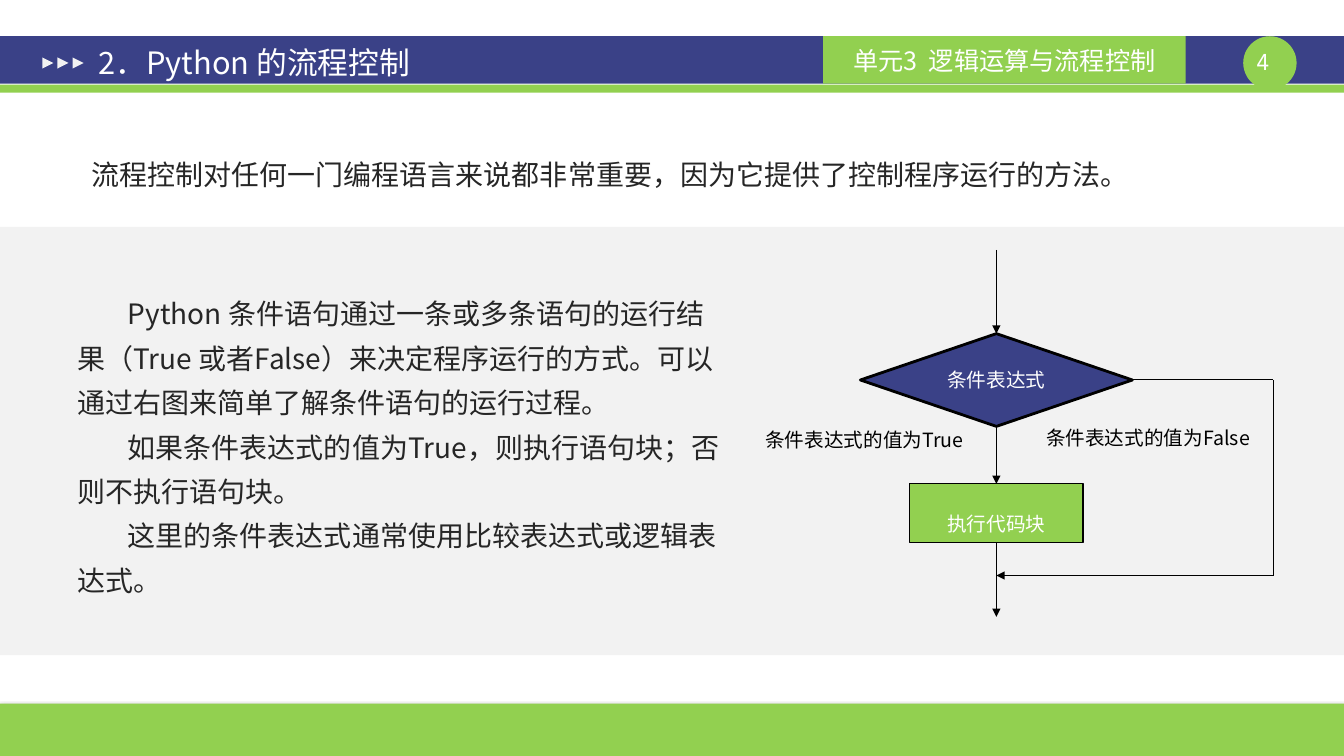
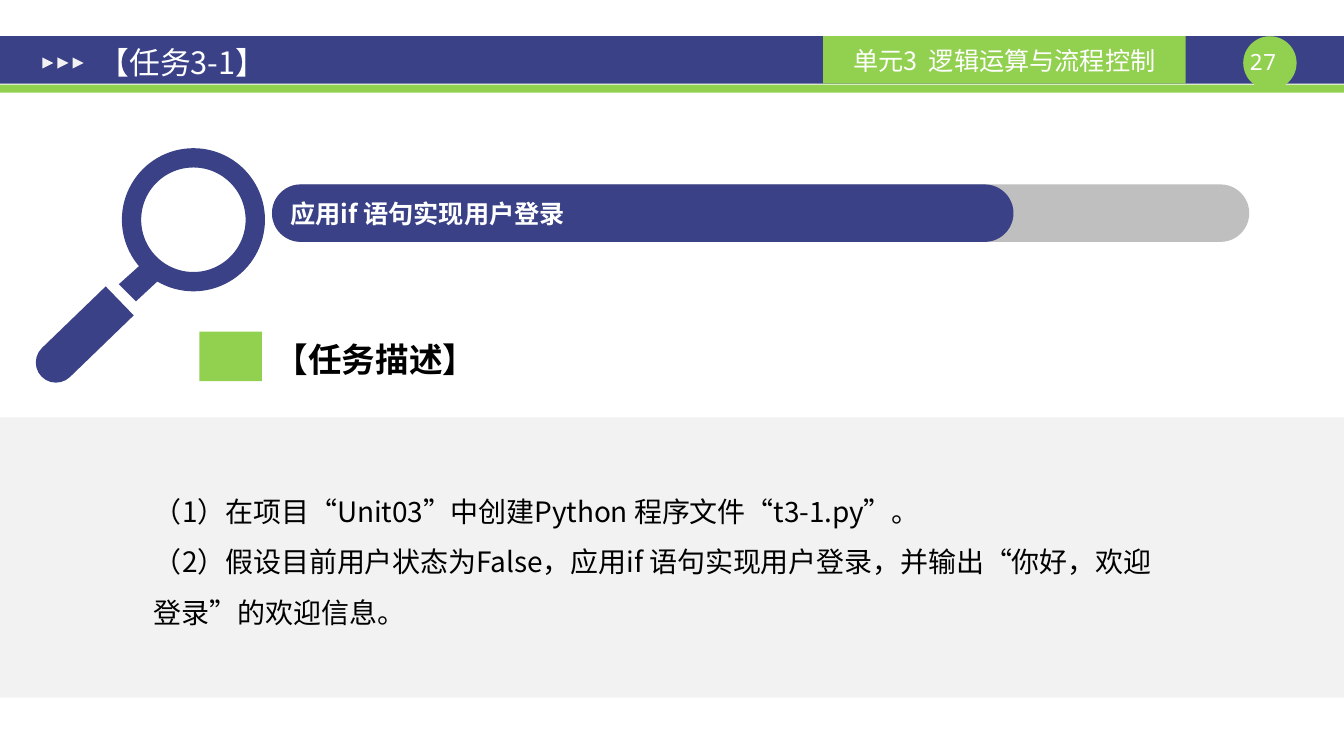
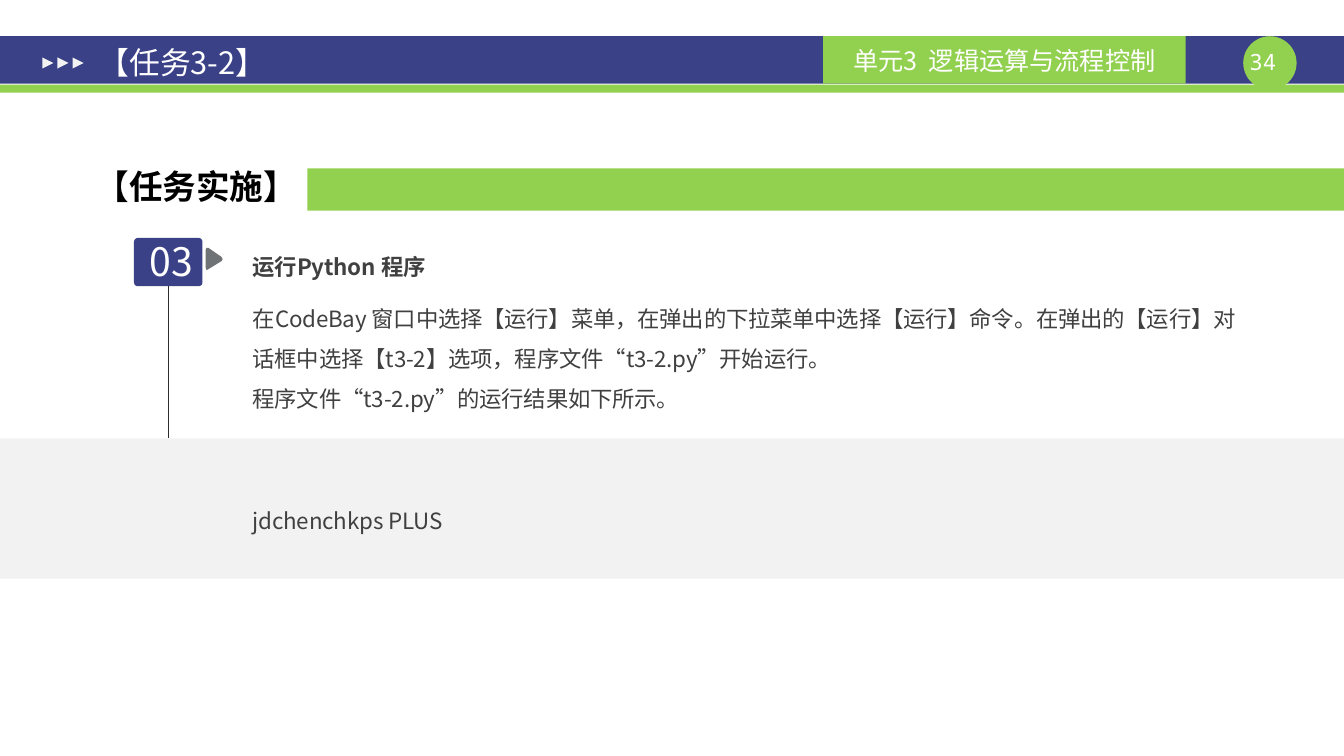
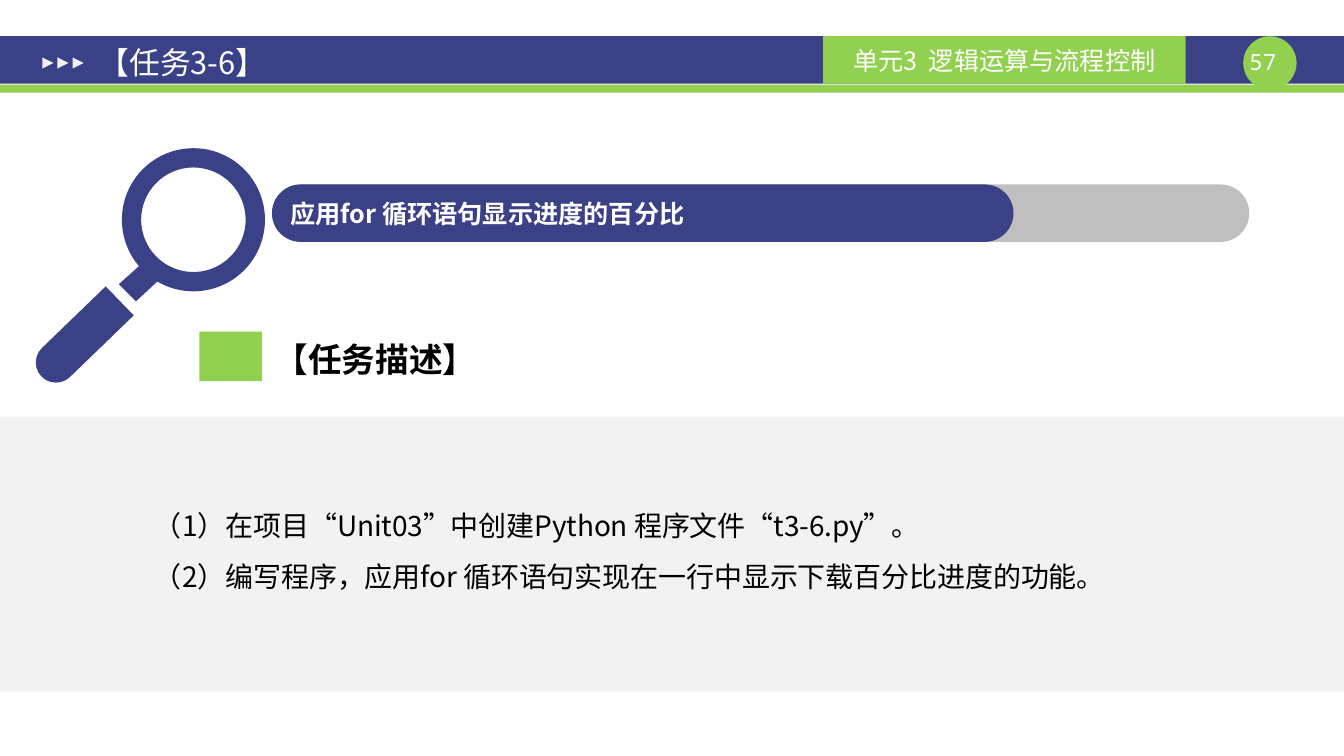
from dataclasses import dataclass, replace
from typing import NamedTuple, Optional, Sequence

from lxml.etree import SubElement
from pptx import Presentation
from pptx.dml.color import RGBColor
from pptx.enum.shapes import MSO_CONNECTOR, MSO_SHAPE
from pptx.enum.text import MSO_ANCHOR, PP_ALIGN
from pptx.oxml.ns import qn
from pptx.util import Inches, Pt

# Colours and fonts
NAVY = RGBColor(0x3A, 0x41, 0x87)
GREEN = RGBColor(0x92, 0xD0, 0x50)
PALE = RGBColor(0xF2, 0xF2, 0xF2)
SILVER = RGBColor(0xBF, 0xBF, 0xBF)
STEEL = RGBColor(0x6F, 0x73, 0x76)
INK = RGBColor(0x26, 0x26, 0x26)
CHARCOAL = RGBColor(0x40, 0x40, 0x40)
RULE = RGBColor(0x2E, 0x2C, 0x2C)
BLACK = RGBColor(0, 0, 0)
WHITE = RGBColor(0xFF, 0xFF, 0xFF)
SANS = "Noto Sans CJK SC"
MONO = "Noto Sans Mono"

SLIDE_WIDTH, SLIDE_HEIGHT = 13.34, 7.5


class Box(NamedTuple):
    left: float
    top: float
    width: float
    height: float

    def lengths(self) -> list:
        return [Inches(value) for value in self]


class Point(NamedTuple):
    x: float
    y: float


@dataclass(frozen=True)
class TextStyle:
    size: float
    color: RGBColor
    bold: bool = False
    font: str = SANS
    spacing: float = 0


@dataclass(frozen=True)
class Layout:
    align: PP_ALIGN = PP_ALIGN.LEFT
    anchor: MSO_ANCHOR = MSO_ANCHOR.TOP
    insets: tuple = (0.1, 0.05, 0.1, 0.05)
    line_spacing: Optional[float] = None
    indent: float = 0


@dataclass(frozen=True)
class Task:
    title: str
    page: int
    goal: str
    steps: tuple
    band_height: float
    steps_box: Box


TITLE = TextStyle(22, WHITE)
UNIT = TextStyle(18, WHITE)
PAGE = TextStyle(16, WHITE, font=MONO)
SECTION = TextStyle(24, BLACK, bold=True)
GOAL = TextStyle(18, WHITE, bold=True)
STEP = TextStyle(20, BLACK, spacing=-0.1)
DETAIL = TextStyle(16, CHARCOAL, spacing=-0.1)
PROSE = TextStyle(20, INK)
NODE = TextStyle(14, WHITE)
BRANCH = TextStyle(14, BLACK)

PLAIN = Layout()
SPACED = Layout(line_spacing=1.5)
INDENTED = Layout(line_spacing=1.32, indent=0.5)
MIDDLE = Layout(anchor=MSO_ANCHOR.MIDDLE)
CENTERED = Layout(PP_ALIGN.CENTER, MSO_ANCHOR.MIDDLE)
TIGHT = Layout(PP_ALIGN.CENTER, insets=(0, 0, 0, 0))


# Text
def add_run(paragraph, text: str, style: TextStyle) -> None:
    run = paragraph.add_run()
    run.text = text
    run.font.size = Pt(style.size)
    run.font.bold = style.bold
    run.font.color.rgb = style.color
    run.font.name = style.font
    properties = run.font._element
    SubElement(properties, qn("a:ea")).set("typeface", style.font)
    if style.spacing:
        properties.set("spc", str(round(style.spacing * 100)))


def write(shape, texts: Sequence[str], style: TextStyle, layout: Layout = PLAIN) -> None:
    frame = shape.text_frame
    frame.word_wrap = True
    frame.vertical_anchor = layout.anchor
    (frame.margin_left, frame.margin_top,
     frame.margin_right, frame.margin_bottom) = map(Inches, layout.insets)
    for number, text in enumerate(texts):
        paragraph = frame.add_paragraph() if number else frame.paragraphs[0]
        paragraph.alignment = layout.align
        if layout.line_spacing:
            paragraph.line_spacing = layout.line_spacing
        if layout.indent:
            paragraph._p.get_or_add_pPr().set("indent", str(Inches(layout.indent)))
        add_run(paragraph, text, style)


def add_text(slide, box: Box, texts: Sequence[str], style: TextStyle, layout: Layout = PLAIN):
    block = slide.shapes.add_textbox(*box.lengths())
    write(block, texts, style, layout)
    return block


# Shapes
def paint(shape, fill: RGBColor, outline: float = 0):
    shape.shadow.inherit = False
    shape.fill.solid()
    shape.fill.fore_color.rgb = fill
    if outline:
        shape.line.color.rgb = BLACK
        shape.line.width = Pt(outline)
    else:
        shape.line.fill.background()
    return shape


def add_block(slide, box: Box, fill: RGBColor, kind=MSO_SHAPE.RECTANGLE,
              outline: float = 0, adjust: Sequence[float] = (), rotation: float = 0):
    block = paint(slide.shapes.add_shape(kind, *box.lengths()), fill, outline)
    for index, value in enumerate(adjust):
        block.adjustments[index] = value
    block.rotation = rotation
    return block


def add_polygon(slide, points: Sequence[Point], fill: RGBColor) -> None:
    corners = [(Inches(x), Inches(y)) for x, y in points]
    builder = slide.shapes.build_freeform(*corners[0], scale=1.0)
    builder.add_line_segments(corners[1:], close=True)
    paint(builder.convert_to_shape(), fill)


def add_line(slide, start: Point, end: Point, arrow: bool = False, source=None,
             source_site: int = 2, target=None, color: RGBColor = BLACK,
             width: float = 0.75) -> None:
    line = slide.shapes.add_connector(
        MSO_CONNECTOR.STRAIGHT, *map(Inches, (*start, *end)))
    if source is not None:
        line.begin_connect(source, source_site)
    if target is not None:
        line.end_connect(target, 0)
    line.line.color.rgb = color
    line.line.width = Pt(width)
    if arrow:
        SubElement(line.line._get_or_add_ln(), qn("a:tailEnd")).set("type", "triangle")
    SubElement(line._element.spPr, qn("a:effectLst"))


def cast_shadow(shape) -> None:
    effects = shape._element.spPr.find(qn("a:effectLst"))
    shadow = SubElement(effects, qn("a:outerShdw"), blurRad=str(Pt(3.1)),
                        dist=str(Pt(1.8)), dir="5400000", rotWithShape="0")
    color = SubElement(shadow, qn("a:srgbClr"), val="000000")
    SubElement(color, qn("a:alpha"), val="35000")


# Shared frame: header bands, unit tab, page number, title
def start_slide(deck, title: str, page: int):
    slide = deck.slides.add_slide(deck.slide_layouts[6])
    add_block(slide, Box(0, 0.36, SLIDE_WIDTH, 0.47), NAVY)
    add_block(slide, Box(0, 0.84, SLIDE_WIDTH, 0.08), GREEN)
    add_block(slide, Box(12.34, 0.36, 0.53, 0.53), GREEN, MSO_SHAPE.OVAL)
    add_text(slide, Box(12.27, 0.48, 0.53, 0.27), [str(page)], PAGE, TIGHT)

    unit_tab = add_block(slide, Box(8.17, 0.36, 3.6, 0.47), GREEN)
    write(unit_tab, ["单元3"], UNIT, CENTERED)
    unit_line = unit_tab.text_frame.paragraphs[0]
    add_run(unit_line, " ", replace(UNIT, spacing=4))
    add_run(unit_line, "逻辑运算与流程控制", UNIT)

    for index in range(3):
        add_block(slide, Box(0.42 + 0.15 * index, 0.57, 0.11, 0.11), PALE,
                  MSO_SHAPE.ISOSCELES_TRIANGLE, rotation=90)
    add_text(slide, Box(0.85, 0.4, 7.2, 0.44), [title], TITLE,
             replace(MIDDLE, insets=(0.13, 0.07, 0.13, 0.07)))
    return slide


def add_pale_band(slide, top: float, height: float) -> None:
    add_block(slide, Box(0, top, SLIDE_WIDTH, height), PALE)


# Flow chart of a conditional statement
def add_flow_chart(slide) -> None:
    axis, bypass, merge = 9.89, 12.64, 5.71
    for box, value in ((Box(10.07, 4.23, 2.65, 0.53), "False"),
                       (Box(7.09, 4.25, 2.98, 0.53), "True")):
        add_text(slide, box, [f"条件表达式的值为{value}"], BRANCH, TIGHT)

    condition = add_block(slide, Box(axis - 1.35, 3.31, 2.7, 0.92), NAVY,
                          MSO_SHAPE.DIAMOND, outline=2)
    write(condition, ["条件表达式"], NODE, replace(TIGHT, anchor=MSO_ANCHOR.MIDDLE))
    action = add_block(slide, Box(axis - 0.86, 4.8, 1.72, 0.58), GREEN, outline=0.75)
    write(action, ["执行代码块"], NODE,
          replace(TIGHT, anchor=MSO_ANCHOR.BOTTOM, insets=(0, 0.04, 0, 0.07)))

    add_line(slide, Point(axis, 2.48), Point(axis, 3.31), arrow=True, target=condition)
    add_line(slide, Point(axis, 4.23), Point(axis, 4.8), arrow=True,
             source=condition, target=action)
    add_line(slide, Point(axis, 5.38), Point(axis, 6.12), arrow=True, source=action)
    add_line(slide, Point(11.24, 3.77), Point(bypass, 3.77),
             source=condition, source_site=3)
    add_line(slide, Point(bypass, 3.77), Point(bypass, merge))
    add_line(slide, Point(bypass, merge), Point(axis, merge), arrow=True)


def build_flow_slide(deck) -> None:
    slide = start_slide(deck, "2．Python 的流程控制", 4)
    add_pale_band(slide, 2.25, 4.25)
    add_text(slide, Box(0.31, 1.41, 12.11, 0.5),
             ["流程控制对任何一门编程语言来说都非常重要，因为它提供了控制程序运行的方法。"],
             PROSE, INDENTED)
    cast_shadow(add_block(slide, Box(0, 6.98, SLIDE_WIDTH, 0.52), GREEN))
    add_flow_chart(slide)
    add_text(slide, Box(0.67, 2.79, 6.59, 3.21), [
        "Python 条件语句通过一条或多条语句的运行结果（True 或者False）来决定程序运行的方式。"
        "可以通过右图来简单了解条件语句的运行过程。",
        "如果条件表达式的值为True，则执行语句块；否则不执行语句块。",
        "这里的条件表达式通常使用比较表达式或逻辑表达式。",
    ], PROSE, INDENTED)


# Task description slides
def add_magnifier(slide) -> None:
    neck = [Point(1.63, 2.73), Point(1.35, 2.99), Point(1.18, 2.82), Point(1.47, 2.56)]
    add_polygon(slide, neck, NAVY)
    add_block(slide, Box(1.21, 1.47, 1.42, 1.42), NAVY, MSO_SHAPE.DONUT, adjust=[0.135])
    add_block(slide, Box(0.6, 2.82, 0.4, 1.08), NAVY,
              MSO_SHAPE.ROUND_2_SAME_RECTANGLE, adjust=[0.5, 0], rotation=226)


def build_task_slide(deck, task: Task) -> None:
    slide = start_slide(deck, task.title, task.page)
    add_pale_band(slide, 4.14, task.band_height)
    for width, fill in ((9.7, SILVER), (7.36, NAVY)):
        goal_bar = add_block(slide, Box(2.7, 1.83, width, 0.57), fill,
                             MSO_SHAPE.ROUNDED_RECTANGLE, adjust=[0.5])
    write(goal_bar, [task.goal], GOAL, MIDDLE)
    add_magnifier(slide)
    add_block(slide, Box(1.98, 3.29, 0.62, 0.49), GREEN)
    add_text(slide, Box(2.63, 3.31, 2.46, 0.5), ["【任务描述】"], SECTION)
    add_text(slide, task.steps_box, task.steps, STEP, SPACED)


# Task walk-through slide
def build_run_slide(deck) -> None:
    slide = start_slide(deck, "【任务3-2】", 34)
    add_pale_band(slide, 4.35, 1.39)

    badge = add_block(slide, Box(1.33, 2.36, 0.68, 0.48), NAVY,
                      MSO_SHAPE.ROUNDED_RECTANGLE, adjust=[0.08])
    add_line(slide, Point(1.67, 2.84), Point(1.67, 4.35), source=badge,
             color=RULE, width=1)
    pointer = [Point(2.04, 2.48), Point(2.05, 2.46), Point(2.07, 2.46),
               Point(2.2, 2.55), Point(2.21, 2.57), Point(2.2, 2.59),
               Point(2.07, 2.67), Point(2.05, 2.68), Point(2.04, 2.65)]
    add_polygon(slide, pointer, STEEL)
    add_text(slide, Box(1.31, 2.31, 0.78, 0.57), ["03"], TextStyle(28, WHITE),
             Layout(PP_ALIGN.CENTER))

    add_block(slide, Box(3.05, 1.67, 10.29, 0.42), GREEN)
    add_text(slide, Box(0.85, 1.6, 2.62, 0.5), ["【任务实施】"], SECTION)
    add_text(slide, Box(2.41, 2.33, 10.09, 0.46), ["运行Python 程序"],
             replace(DETAIL, bold=True), SPACED)
    details = add_text(slide, Box(2.41, 2.84, 10.09, 2.52), [
        "在CodeBay 窗口中选择【运行】菜单，在弹出的下拉菜单中选择【运行】命令。"
        "在弹出的【运行】对话框中选择【t3-2】选项，程序文件“t3-2.py”开始运行。",
        "程序文件“t3-2.py”的运行结果如下所示。",
        "jdchenchkps PLUS",
    ], DETAIL, SPACED)
    details.text_frame.paragraphs[-1].space_before = Pt(58)


LOGIN_TASK = Task(
    "【任务3-1】", 27, "应用if 语句实现用户登录",
    ("（1）在项目“Unit03”中创建Python 程序文件“t3-1.py”。",
     "（2）假设目前用户状态为False，应用if 语句实现用户登录，并输出“你好，欢迎登录”的欢迎信息。"),
    2.78, Box(1.43, 4.69, 10.32, 1.62))
PROGRESS_TASK = Task(
    "【任务3-6】", 57, "应用for 循环语句显示进度的百分比",
    ("（1）在项目“Unit03”中创建Python 程序文件“t3-6.py”。",
     "（2）编写程序，应用for 循环语句实现在一行中显示下载百分比进度的功能。"),
    2.72, Box(1.43, 4.83, 10.49, 1.05))


def main() -> None:
    deck = Presentation()
    deck.slide_width = Inches(SLIDE_WIDTH)
    deck.slide_height = Inches(SLIDE_HEIGHT)
    build_flow_slide(deck)
    build_task_slide(deck, LOGIN_TASK)
    build_run_slide(deck)
    build_task_slide(deck, PROGRESS_TASK)
    deck.save("out.pptx")


if __name__ == "__main__":
    main()
